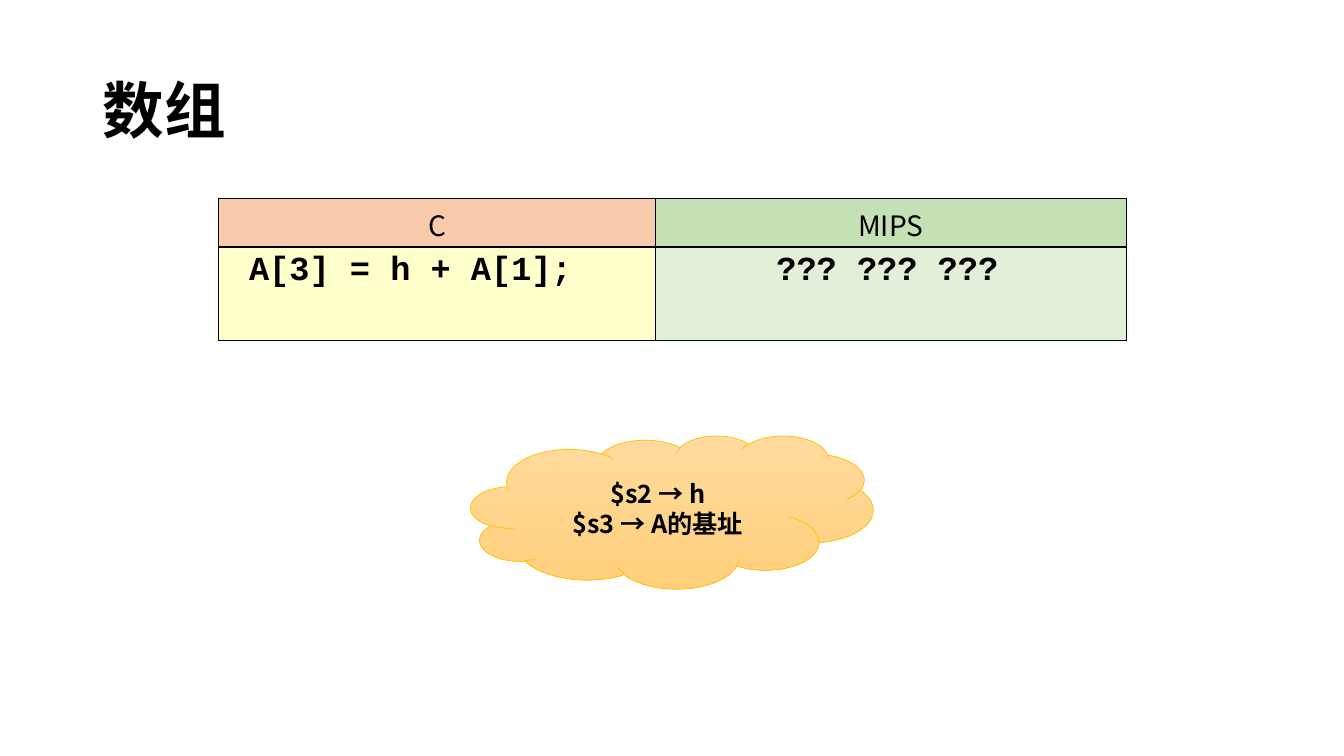
from dataclasses import dataclass

from lxml.etree import SubElement
from pptx import Presentation
from pptx.dml.color import RGBColor
from pptx.enum.shapes import MSO_SHAPE
from pptx.enum.text import MSO_ANCHOR, PP_ALIGN
from pptx.oxml.ns import qn
from pptx.util import Inches, Pt


@dataclass(frozen=True)
class Theme:
    sans: str = "Noto Sans CJK SC"
    mono: str = "Courier New"
    ink: str = "000000"
    cloud_top: str = "FFDB9E"
    cloud_bottom: str = "FFD07C"
    cloud_line: str = "FFC000"
    header_fills: tuple = ("F8CBAD", "C5E0B4")
    code_fills: tuple = ("FFFFCC", "E2F0D9")
    title_size: int = 44
    header_size: int = 20
    code_size: int = 24
    note_size: int = 18


THEME = Theme()


def rgb(value):
    return RGBColor.from_string(value)


def write(tf, text, size, font=THEME.sans, bold=False, align=PP_ALIGN.LEFT):
    tf.text = text
    for p in tf.paragraphs:
        p.alignment = align
        for r in p.runs:
            r.font.size = Pt(size)
            r.font.bold = bold
            r.font.color.rgb = rgb(THEME.ink)
            r.font.name = font
            SubElement(r.font._element, qn("a:ea"), typeface=font)


def add_title(s, text, left, top, width, height):
    tf = s.shapes.add_textbox(Inches(left), Inches(top), Inches(width), Inches(height)).text_frame
    tf.word_wrap = True
    tf.vertical_anchor = MSO_ANCHOR.MIDDLE
    write(tf, text, THEME.title_size, bold=True)
    tf.paragraphs[0].line_spacing = 0.9


def paint_cell(cell, fill):
    cell.fill.solid()
    cell.fill.fore_color.rgb = rgb(fill)
    tc_pr = cell._tc.get_or_add_tcPr()
    for i, side in enumerate(("lnL", "lnR", "lnT", "lnB")):
        ln = tc_pr.makeelement(qn(f"a:{side}"), {"w": str(Pt(1))})
        SubElement(SubElement(ln, qn("a:solidFill")), qn("a:srgbClr"), val=THEME.ink)
        tc_pr.insert(i, ln)


def add_code_table(s, headers, codes, left, top, width, height):
    table = s.shapes.add_table(2, 2, Inches(left), Inches(top), Inches(width), Inches(height)).table
    first_width, header_height = 4.33, 0.48
    for col, w in zip(table.columns, (first_width, width - first_width)):
        col.width = Inches(w)
    for row, h in zip(table.rows, (header_height, height - header_height)):
        row.height = Inches(h)
    for c in range(2):
        header, code = table.cell(0, c), table.cell(1, c)
        paint_cell(header, THEME.header_fills[c])
        paint_cell(code, THEME.code_fills[c])
        write(header.text_frame, headers[c], THEME.header_size, align=PP_ALIGN.CENTER)
        write(code.text_frame, codes[c], THEME.code_size, THEME.mono, True)
    table.cell(1, 0).margin_left = Inches(0.3)
    table.cell(1, 1).margin_left = Inches(1.2)


def add_cloud(s, lines, left, top, width, height):
    sp = s.shapes.add_shape(MSO_SHAPE.CLOUD, Inches(left), Inches(top), Inches(width), Inches(height))
    sp.shadow.inherit = False
    sp.fill.gradient()
    sp.fill.gradient_angle = 270
    for stop, color in zip(sp.fill.gradient_stops, (THEME.cloud_top, THEME.cloud_bottom)):
        stop.color.rgb = rgb(color)
    sp.line.color.rgb = rgb(THEME.cloud_line)
    sp.line.width = Pt(0.5)
    tf = sp.text_frame
    tf.vertical_anchor = MSO_ANCHOR.MIDDLE
    write(tf, "\n".join(lines), THEME.note_size, bold=True, align=PP_ALIGN.CENTER)


def main():
    prs = Presentation()
    prs.slide_width, prs.slide_height = Inches(13.33), Inches(7.5)
    s = prs.slides.add_slide(prs.slide_layouts[6])
    add_title(s, "数组", 0.92, 0.4, 11.5, 1.45)
    add_cloud(s, ("$s2 → h", "$s3 → A的基址"), 4.67, 4.32, 3.99, 1.52)
    add_code_table(s, ("C", "MIPS"), ("A[3] = h + A[1];", "??? ??? ???"), 2.17, 1.97, 9, 1.41)
    prs.save("out.pptx")


if __name__ == "__main__":
    main()
